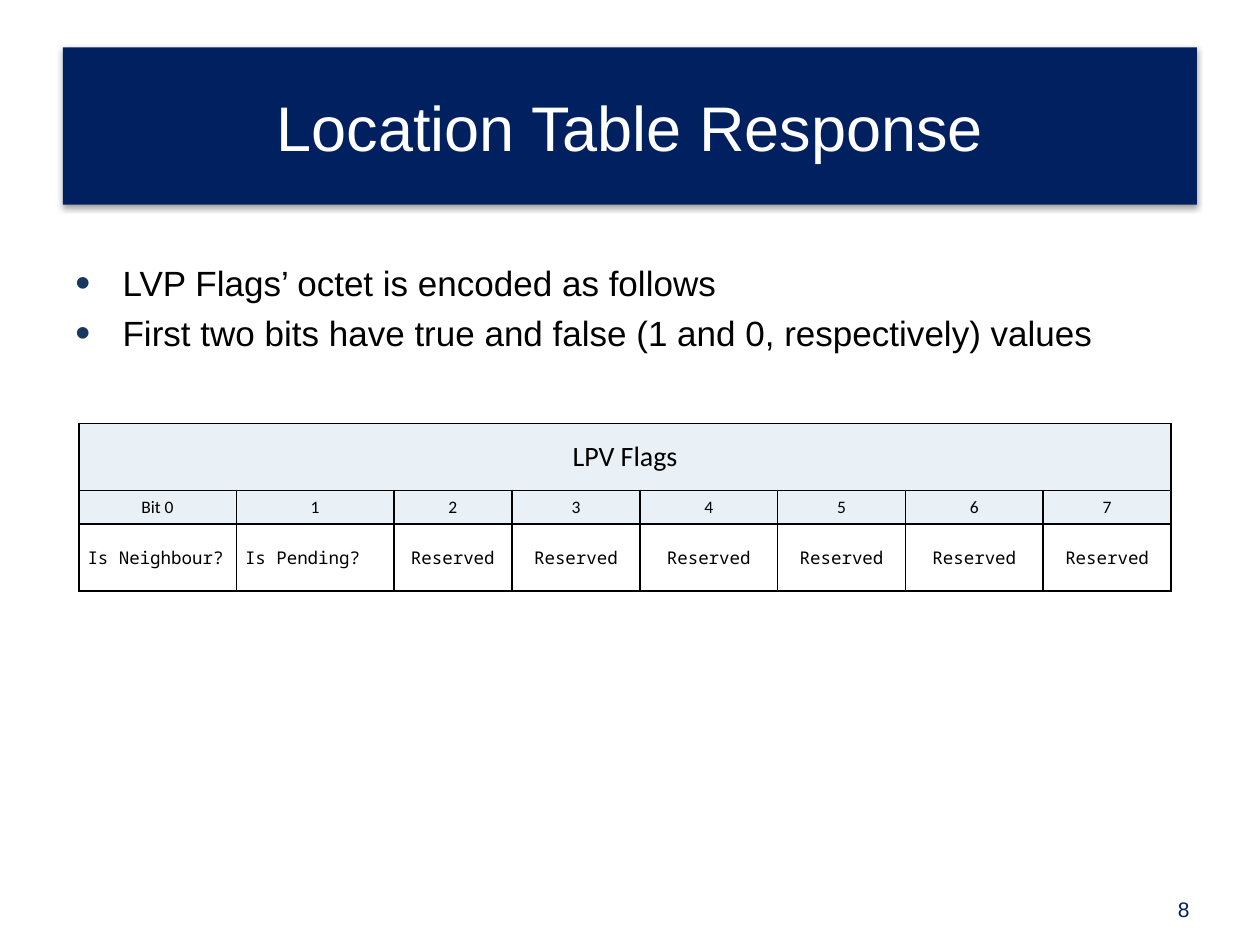
from dataclasses import dataclass
from typing import Any, Optional

from lxml.etree import SubElement
from pptx import Presentation
from pptx.dml.color import RGBColor
from pptx.enum.shapes import MSO_SHAPE
from pptx.enum.text import MSO_ANCHOR, PP_ALIGN
from pptx.oxml.ns import qn
from pptx.util import Pt

COLORS = {
    "navy": "002060",
    "bullet": "17375E",
    "header": "E9F1F6",
    "white": "FFFFFF",
    "black": "000000",
}
COLUMN_WIDTHS = [90, 90, 67.5, 73.2, 78.6, 73.2, 78.6, 73.2]
MONO = "Noto Sans Mono"


@dataclass
class TextStyle:
    """Font, size, colour and alignment of one paragraph."""
    name: str
    size: float
    color: str = "black"
    align: PP_ALIGN = PP_ALIGN.LEFT


@dataclass
class FlagRow:
    """One row of the flag table."""
    height: float
    texts: list[str]
    style: TextStyle
    fill: Optional[str] = None


def rgb(name: str) -> RGBColor:
    """Look up a named colour."""
    return RGBColor.from_string(COLORS[name])


def apply_format(target: Any, values: dict[str, Any]) -> None:
    """Set every attribute in a dict of format values."""
    for key, value in values.items():
        setattr(target, key, value)


def write_text(para: Any, text: str, style: TextStyle) -> None:
    """Fill a paragraph with one styled span."""
    para.alignment = style.align
    span = para.add_run()
    span.text = text
    apply_format(span.font, {"name": style.name, "size": Pt(style.size), "bold": False})
    span.font.color.rgb = rgb(style.color)


def add_bullet(para: Any) -> None:
    """Give a paragraph a hanging coloured bullet."""
    para.space_before = Pt(4.6)
    props = para._p.get_or_add_pPr()
    props.set("marL", str(Pt(27)))
    props.set("indent", str(-Pt(27)))
    color = SubElement(props, qn("a:buClr"))
    SubElement(color, qn("a:srgbClr"), val=COLORS["bullet"])
    SubElement(props, qn("a:buSzPct"), val="122000")
    SubElement(props, qn("a:buFont"), typeface="Arial")
    SubElement(props, qn("a:buChar"), char="•")


def add_title(page: Any, text: str) -> None:
    """Draw the title band with its soft shadow."""
    band = page.shapes.add_shape(MSO_SHAPE.RECTANGLE, Pt(36), Pt(27), Pt(648), Pt(90))
    band.fill.solid()
    band.fill.fore_color.rgb = rgb("navy")
    band.line.fill.background()
    band.shadow.inherit = False
    effects = band._element.spPr.find(qn("a:effectLst"))
    shadow = SubElement(effects, qn("a:outerShdw"), blurRad=str(Pt(3.1)),
                        dist=str(Pt(1.8)), dir="5400000", rotWithShape="0")
    color = SubElement(shadow, qn("a:srgbClr"), val=COLORS["black"])
    SubElement(color, qn("a:alpha"), val="35000")
    apply_format(band.text_frame, {"word_wrap": True, "vertical_anchor": MSO_ANCHOR.MIDDLE})
    write_text(band.text_frame.paragraphs[0], text,
               TextStyle("Arial", 36, "white", PP_ALIGN.CENTER))


def add_text(page: Any, place: tuple[float, ...], lines: list[str],
             style: TextStyle, bullets: bool = False) -> None:
    """Add a text box with one paragraph per line."""
    box = page.shapes.add_textbox(*map(Pt, place))
    frame = box.text_frame
    frame.word_wrap = True
    for index, line in enumerate(lines):
        para = frame.add_paragraph() if index else frame.paragraphs[0]
        write_text(para, line, style)
        if bullets:
            add_bullet(para)


def add_borders(cell: Any) -> None:
    """Draw a thin black line on all four sides of a cell."""
    props = cell._tc.get_or_add_tcPr()
    for side in ("lnL", "lnR", "lnT", "lnB"):
        line = SubElement(props, qn(f"a:{side}"), w=str(Pt(1)))
        fill = SubElement(line, qn("a:solidFill"))
        SubElement(fill, qn("a:srgbClr"), val=COLORS["black"])


def add_flag_table(page: Any, rows: list[FlagRow]) -> None:
    """Build the flag table; a row with a single text spans all columns."""
    count = len(COLUMN_WIDTHS)
    table = page.shapes.add_table(
        len(rows), count, Pt(45), Pt(242), Pt(sum(COLUMN_WIDTHS)),
        Pt(sum(row.height for row in rows))).table
    apply_format(table, {"first_row": False, "horz_banding": False})
    for column, width in zip(table.columns, COLUMN_WIDTHS):
        column.width = Pt(width)
    for index, row in enumerate(rows):
        table.rows[index].height = Pt(row.height)
        for cell in table.rows[index].cells:
            margin = 5 if row.style.name == MONO else 7.2
            apply_format(cell, {
                "vertical_anchor": MSO_ANCHOR.MIDDLE,
                "margin_left": Pt(margin), "margin_right": Pt(margin),
                "margin_top": Pt(3), "margin_bottom": Pt(3)})
            add_borders(cell)
            if row.fill:
                cell.fill.solid()
                cell.fill.fore_color.rgb = rgb(row.fill)
            else:
                cell.fill.background()
        if len(row.texts) == 1:
            table.cell(index, 0).merge(table.cell(index, count - 1))
        for position, text in enumerate(row.texts):
            para = table.cell(index, position).text_frame.paragraphs[0]
            write_text(para, text, row.style)
            if text.startswith("Is "):
                para.alignment = PP_ALIGN.LEFT


deck = Presentation()
apply_format(deck, {"slide_width": Pt(720), "slide_height": Pt(540)})
page = deck.slides.add_slide(deck.slide_layouts[6])

add_text(page, (666, 508.5, 39.6, 21.6), ["8"], TextStyle("Arial", 12, "navy"))
add_title(page, "Location Table Response")
add_text(page, (36, 146, 648, 54), [
    "LVP Flags’ octet is encoded as follows",
    "First two bits have true and false (1 and 0, respectively) values",
], TextStyle("Arial", 20), bullets=True)

center = PP_ALIGN.CENTER
add_flag_table(page, [
    FlagRow(38.2, ["LPV Flags"], TextStyle("Calibri", 16, align=center), "header"),
    FlagRow(19.4, ["Bit 0"] + [str(bit) for bit in range(1, 8)],
            TextStyle("Calibri", 10, align=center), "header"),
    FlagRow(38.2, ["Is Neighbour?", "Is Pending?"] + ["Reserved"] * 6,
            TextStyle(MONO, 10, align=center)),
])

deck.save("out.pptx")
